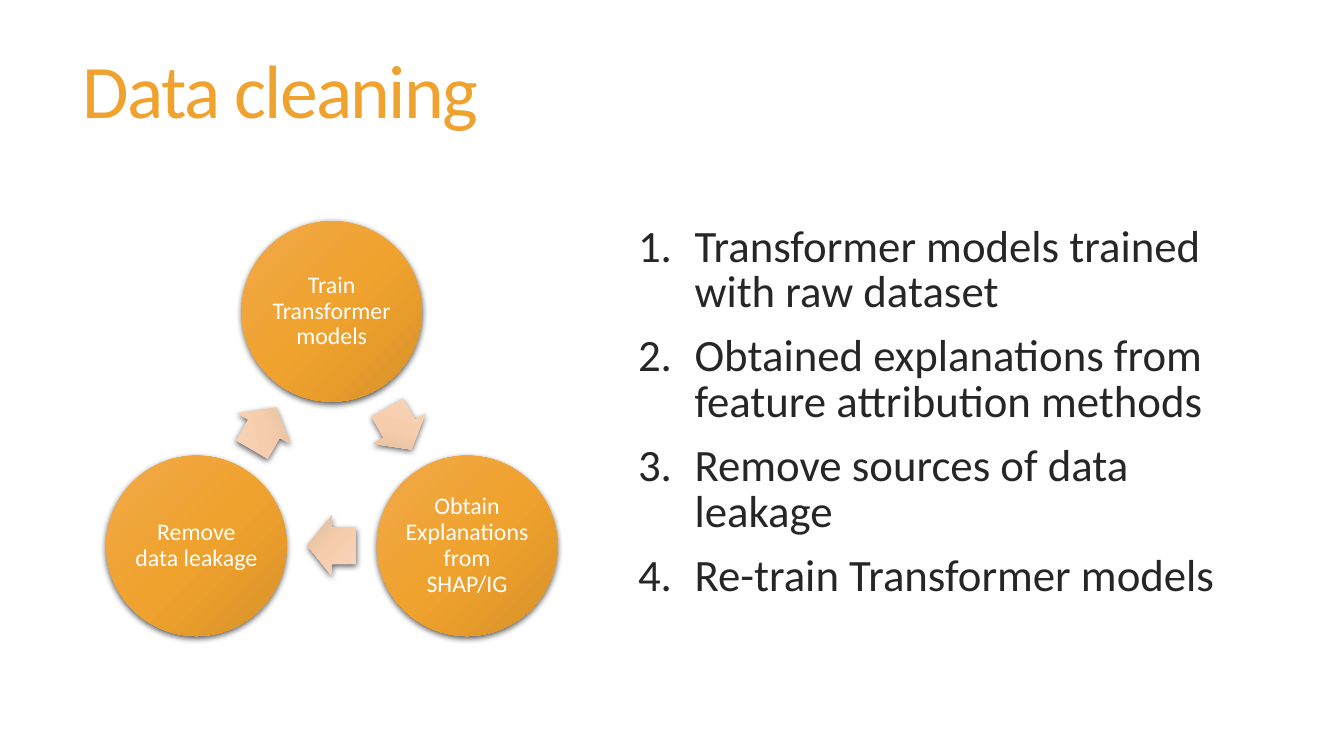
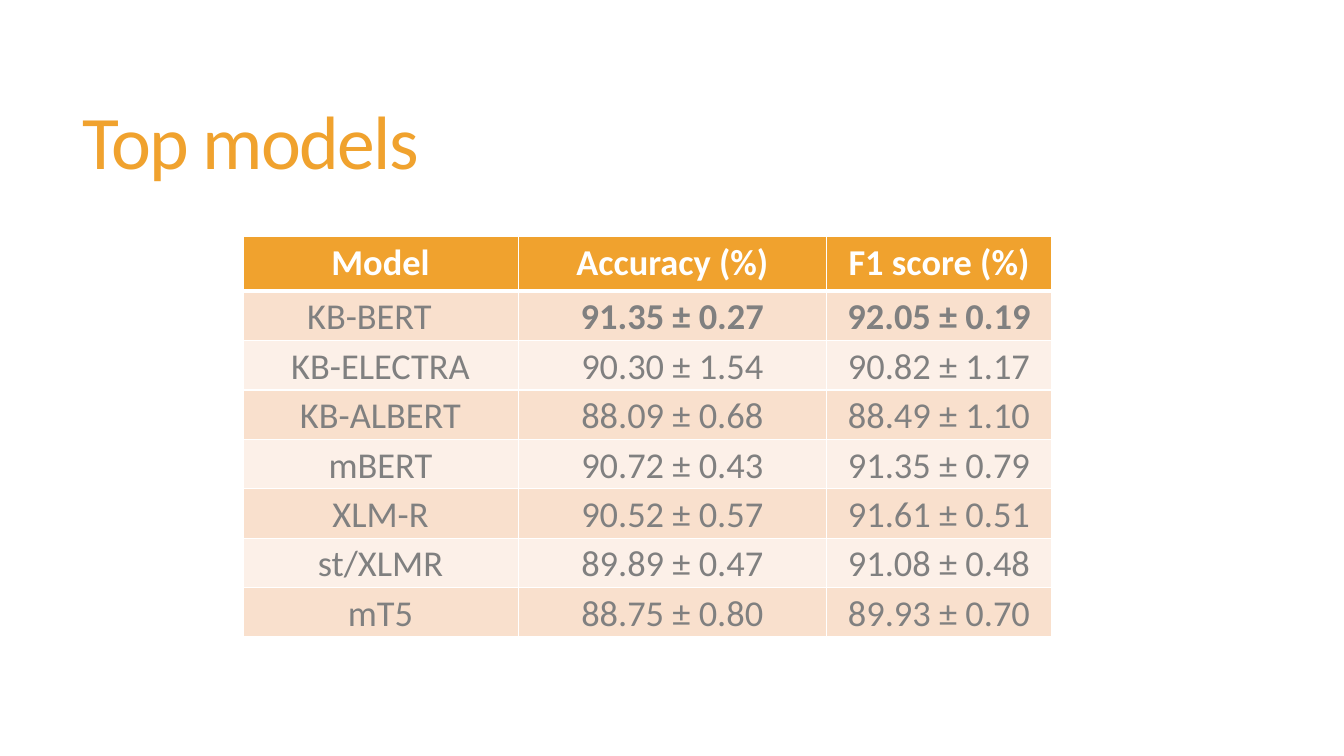
"""Build two slides: a data cleaning cycle and a table of top models."""
from copy import deepcopy
from math import cos, radians, sin

from lxml import etree
from pptx import Presentation
from pptx.dml.color import RGBColor
from pptx.enum import shapes, text
from pptx.oxml.ns import qn
from pptx.util import Inches, Pt

STEPS = ["Train Transformer models", "Obtain Explanations from SHAP/IG",
         "Remove data leakage"]
POINTS = ["Transformer models trained with raw dataset",
          "Obtained explanations from feature attribution methods",
          "Remove sources of data leakage",
          "Re-train Transformer models"]
ROWS = [("Model", "Accuracy (%)", "F1 score (%)"),
        ("KB-BERT", "91.35 ± 0.27", "92.05 ± 0.19"),
        ("KB-ELECTRA", "90.30 ± 1.54", "90.82 ± 1.17"),
        ("KB-ALBERT", "88.09 ± 0.68", "88.49 ± 1.10"),
        ("mBERT", "90.72 ± 0.43", "91.35 ± 0.79"),
        ("XLM-R", "90.52 ± 0.57", "91.61 ± 0.51"),
        ("st/XLMR", "89.89 ± 0.47", "91.08 ± 0.48"),
        ("mT5", "88.75 ± 0.80", "89.93 ± 0.70")]
WIDTHS = [2.73, 3.06, 2.23]
HEAD, ROW = 0.54, 0.49

FONT = "Calibri"
ORANGE = RGBColor(0xF0, 0xA2, 0x2E)
WHITE = RGBColor(0xFF, 0xFF, 0xFF)
DARK = RGBColor(0x26, 0x26, 0x26)
GRAY = RGBColor(0x80, 0x80, 0x80)
BANDS = [RGBColor(0xFC, 0xF0, 0xE8), RGBColor(0xF9, 0xE0, 0xCD)]
DISC = [RGBColor(0xF1, 0xA9, 0x4A), ORANGE, RGBColor(0xD9, 0x92, 0x28)]
PEACH = [RGBColor(0xF7, 0xD4, 0xB8), RGBColor(0xF6, 0xCE, 0xAD),
         RGBColor(0xDE, 0xB9, 0x9A)]

MID = (3.29, 4.64)
RADIUS, SIZE = 1.55, 1.79
ARROW = (0.48, 0.6)
LEFT, CENTER = text.PP_ALIGN.LEFT, text.PP_ALIGN.CENTER
MIDDLE, BOTTOM = text.MSO_ANCHOR.MIDDLE, text.MSO_ANCHOR.BOTTOM


def put(obj, **vals):
    for key, val in vals.items():
        setattr(obj, key, val)


def box(*nums):
    return [Inches(num) for num in nums]


def inset(obj, wide, high):
    put(obj, margin_left=Inches(wide), margin_right=Inches(wide),
        margin_top=Inches(high), margin_bottom=Inches(high))


def write(par, words, size, color, bold=False, **form):
    run = par.add_run()
    run.text = words
    put(run.font, name=FONT, size=Pt(size), bold=bold)
    run.font.color.rgb = color
    put(par, **form)
    return run


def sub(parent, tag, **attrs):
    return etree.SubElement(parent, qn(tag), attrs)


def start(deck, words, top):
    slide = deck.slides.add_slide(deck.slide_layouts[5])
    title = slide.shapes.title
    put(title, left=Inches(0.72), top=Inches(top),
        width=Inches(11.78), height=Inches(1.81))
    frame = title.text_frame
    put(frame, vertical_anchor=MIDDLE, auto_size=text.MSO_AUTO_SIZE.NONE)
    run = write(frame.paragraphs[0], words, 54, ORANGE,
                alignment=LEFT, line_spacing=0.85)
    run._r.get_or_add_rPr().set("spc", "-120")
    return slide


def node(slide, kind, spot, size, tones):
    x, y = spot
    wide, high = size
    shape = slide.shapes.add_shape(
        kind, *box(x - wide / 2, y - high / 2, wide, high))
    shape.line.fill.background()
    shape.fill.gradient()
    shape.fill.gradient_angle = 315
    stops = shape.fill.gradient_stops
    stops[0].color.rgb, stops[1].color.rgb = tones[0], tones[2]
    first = shape._element.spPr.find(".//" + qn("a:gs"))
    first.addnext(deepcopy(first))
    stop = shape.fill.gradient_stops[1]
    stop.position = 0.5
    stop.color.rgb = tones[1]
    shape.shadow.inherit = False
    effect = shape._element.spPr.find(qn("a:effectLst"))
    shade = sub(effect, "a:outerShdw", blurRad=str(Pt(4.5)),
                dist=str(Pt(1.5)), dir="5400000", algn="ctr", rotWithShape="0")
    sub(sub(shade, "a:srgbClr", val="000000"), "a:alpha", val="63000")
    return shape


def cycle(slide):
    turns = [radians(120 * i - 90) for i in range(len(STEPS))]
    spots = [(MID[0] + RADIUS * cos(t), MID[1] + RADIUS * sin(t))
             for t in turns]
    for i, (words, spot) in enumerate(zip(STEPS, spots)):
        disc = node(slide, shapes.MSO_SHAPE.OVAL, spot, (SIZE, SIZE), DISC)
        frame = disc.text_frame
        put(frame, word_wrap=True, vertical_anchor=MIDDLE)
        inset(frame, 0.02, 0.02)
        write(frame.paragraphs[0], words, 17, WHITE,
              alignment=CENTER, line_spacing=0.9)
        after = spots[(i + 1) % len(spots)]
        half = [(a + b) / 2 for a, b in zip(spot, after)]
        arrow = node(slide, shapes.MSO_SHAPE.RIGHT_ARROW, half, ARROW, PEACH)
        arrow.rotation = 60 + 120 * i
        arrow.adjustments[0], arrow.adjustments[1] = 0.6, 0.5


def listing(slide):
    frame = slide.shapes.add_textbox(*box(6.23, 2.19, 6.39, 4.64)).text_frame
    frame.word_wrap = True
    for i, words in enumerate(POINTS):
        par = frame.add_paragraph() if i else frame.paragraphs[0]
        write(par, words, 32, DARK, line_spacing=0.85, space_before=Pt(13))
        props = par._p.get_or_add_pPr()
        props.set("marL", str(Inches(0.56)))
        props.set("indent", str(-Inches(0.56)))
        sub(props, "a:buFont", typeface="+mj-lt")
        sub(props, "a:buAutoNum", type="arabicPeriod")


def border(cell, row):
    props = cell._tc.get_or_add_tcPr()
    widths = {"L": 1, "R": 1, "T": 3 if row == 1 else 1,
              "B": 3 if row == 0 else 1}
    for i, (side, width) in enumerate(widths.items()):
        line = etree.Element(qn("a:ln" + side), w=str(Pt(width)))
        sub(sub(line, "a:solidFill"), "a:srgbClr", val=str(WHITE))
        props.insert(i, line)


def scores(slide):
    high = HEAD + ROW * (len(ROWS) - 1)
    table = slide.shapes.add_table(
        len(ROWS), len(WIDTHS), *box(2.41, 2.35, sum(WIDTHS), high)).table
    for col, width in zip(table.columns, WIDTHS):
        col.width = Inches(width)
    for r, row in enumerate(ROWS):
        table.rows[r].height = Inches(ROW if r else HEAD)
        for c, words in enumerate(row):
            cell = table.cell(r, c)
            cell.fill.solid()
            cell.fill.fore_color.rgb = BANDS[r % 2] if r else ORANGE
            if r:
                inset(cell, 0.02, 0.01)
                cell.vertical_anchor = BOTTOM
            else:
                inset(cell, 0.08, 0.04)
            write(cell.text_frame.paragraphs[0], words, 26,
                  GRAY if r else WHITE, r == 0 or (r == 1 and c > 0),
                  alignment=CENTER)
            border(cell, r)
    table.cell(1, 0).margin_right = Inches(0.24)


def main():
    deck = Presentation()
    put(deck, slide_width=Inches(13.33), slide_height=Inches(7.5))
    slide = start(deck, "Data cleaning", 0.04)
    cycle(slide)
    listing(slide)
    scores(start(deck, "Top models", 0.55))
    deck.save("out.pptx")


if __name__ == "__main__":
    main()
